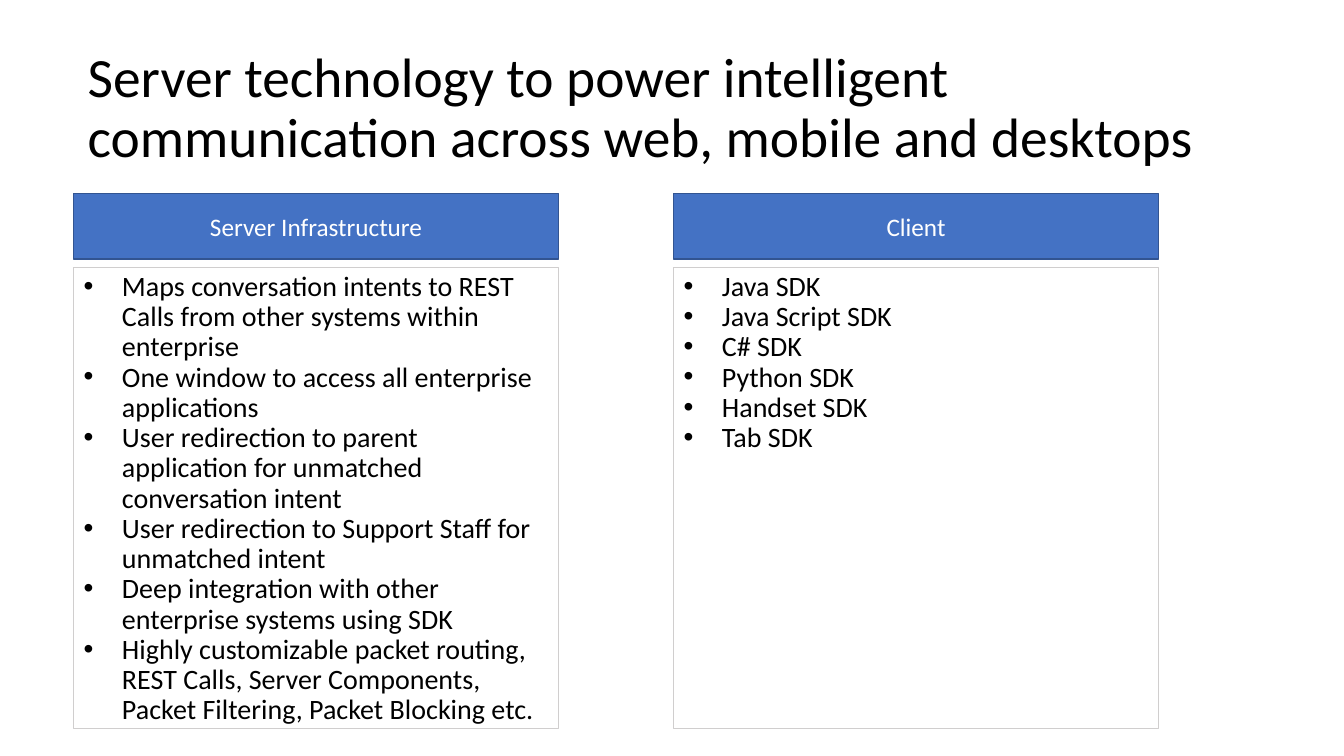
from pptx import Presentation
from pptx import util as u
from pptx.dml.color import RGBColor
from pptx.enum import shapes, text

PX = 9144
BLACK = RGBColor(0x00, 0x00, 0x00)
WHITE = RGBColor(0xFF, 0xFF, 0xFF)
BLUE = RGBColor(0x44, 0x72, 0xC4)
NAVY = RGBColor(0x32, 0x54, 0x91)
GREY = RGBColor(0xD0, 0xCE, 0xCE)

LEFT, STEP, WIDTH = 73, 595, 481
TITLE = ("Server technology to power intelligent communication "
         "across web, mobile and desktops")
COLUMNS = [
    ("Server Infrastructure", [
        "Maps conversation intents to REST Calls from other systems within enterprise",
        "One window to access all enterprise applications",
        "User redirection to parent application for unmatched conversation intent",
        "User redirection to Support Staff for unmatched intent",
        "Deep integration with other enterprise systems using SDK",
        "Highly customizable packet routing, REST Calls, Server Components, "
        "Packet Filtering, Packet Blocking etc.",
    ]),
    ("Client", [
        "Java SDK",
        "Java Script SDK",
        "C# SDK",
        "Python SDK",
        "Handset SDK",
        "Tab SDK",
    ]),
]


def px(num):
    return u.Emu(num * PX)


def place(shape, *box):
    shape.left, shape.top, shape.width, shape.height = map(px, box)


def write(shape, lines, size, color=BLACK, align=text.PP_ALIGN.LEFT,
          anchor=text.MSO_ANCHOR.MIDDLE, space=1.0, indent=None):
    frame = shape.text_frame
    frame.text = "\n".join(lines)
    frame.word_wrap = True
    frame.auto_size = text.MSO_AUTO_SIZE.NONE
    frame.vertical_anchor = anchor
    for para in frame.paragraphs:
        para.alignment = align
        para.line_spacing = space
        para.space_before = u.Pt(0)
        font = para.runs[0].font
        font.name, font.size, font.color.rgb = "Calibri", u.Pt(size), color
        if indent:
            props = para._p.get_or_add_pPr()
            props.set("marL", str(px(indent)))
            props.set("indent", str(px(-indent)))


def border(shape, color, width):
    shape.line.color.rgb = color
    shape.line.width = u.Pt(width)


def header(slide, label, left):
    bar = slide.shapes.add_shape(
        shapes.MSO_SHAPE.RECTANGLE, *map(px, (left, 192, WIDTH, 65)))
    bar.shadow.inherit = False
    bar.fill.solid()
    bar.fill.fore_color.rgb = BLUE
    border(bar, NAVY, 1)
    write(bar, [label], 18, WHITE, text.PP_ALIGN.CENTER)


def bullets(body, items, left):
    place(body, left, 265, WIDTH, 458)
    border(body, GREY, 0.75)
    write(body, items, 20, anchor=text.MSO_ANCHOR.TOP, space=0.9, indent=38)


def main():
    deck = Presentation()
    deck.slide_width, deck.slide_height = px(1333), px(750)
    slide = deck.slides.add_slide(deck.slide_layouts.get_by_name("Two Content"))
    title = slide.shapes.title
    place(title, 77, 36, 1150, 145)
    write(title, [TITLE], 39.6, space=0.9)
    for col, (label, items) in enumerate(COLUMNS):
        left = LEFT + col * STEP
        header(slide, label, left)
        bullets(slide.placeholders[col + 1], items, left)
    deck.save("out.pptx")


if __name__ == "__main__":
    main()
